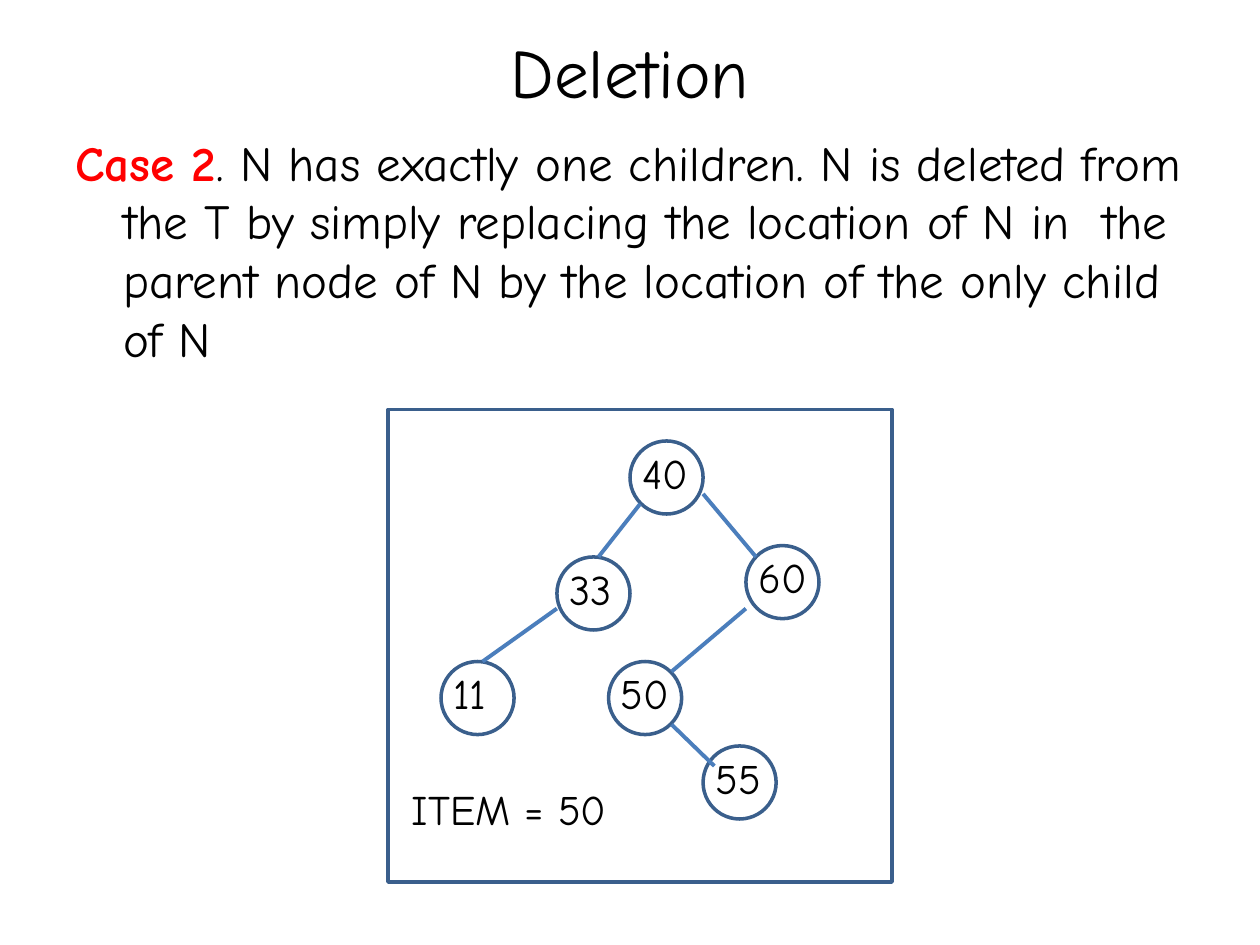
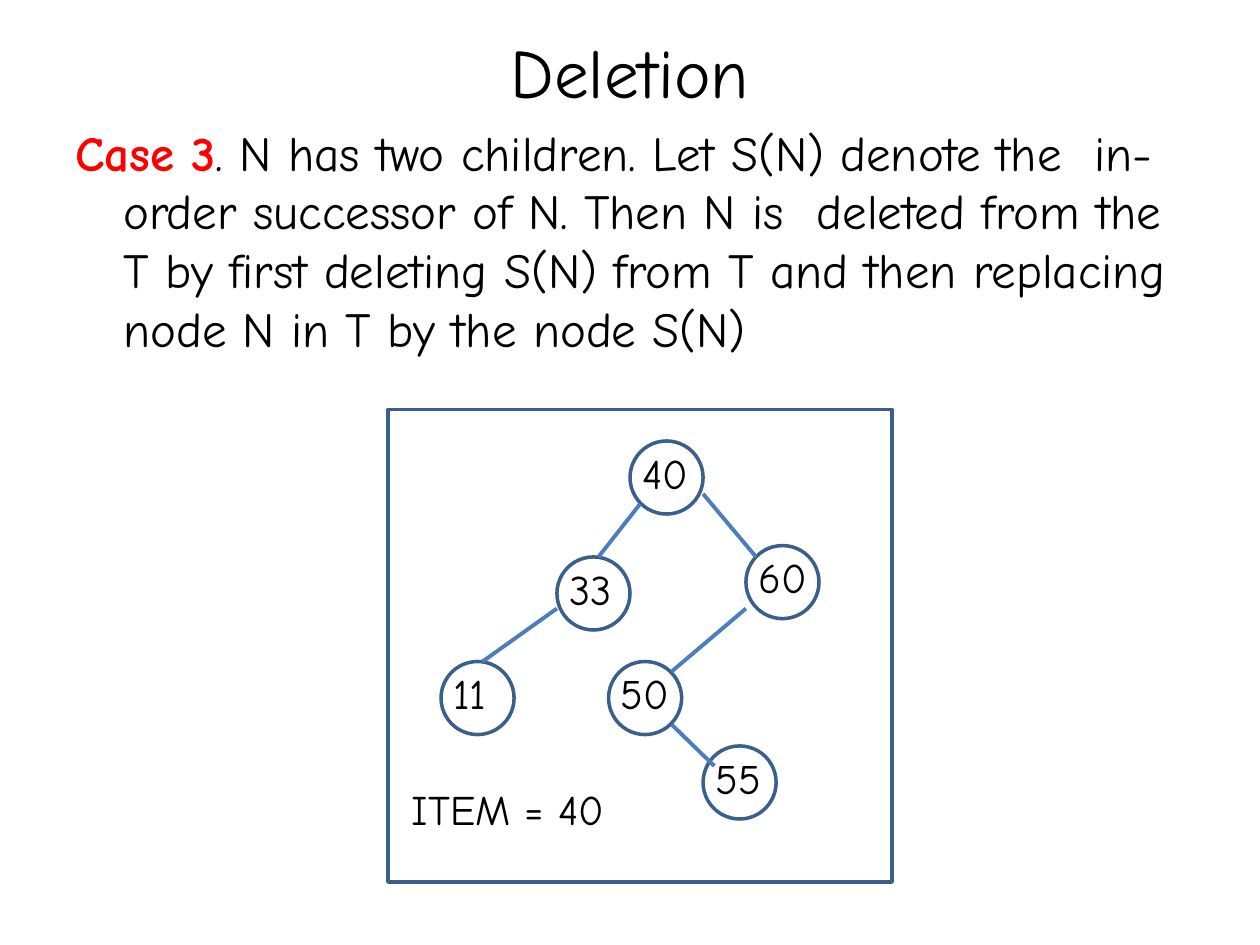
from dataclasses import dataclass

from lxml.etree import SubElement
from pptx import Presentation
from pptx.dml.color import RGBColor
from pptx.enum.shapes import MSO_CONNECTOR, MSO_SHAPE
from pptx.enum.text import MSO_ANCHOR, PP_ALIGN
from pptx.oxml.ns import qn
from pptx.util import Inches, Pt


@dataclass(frozen=True)
class Theme:
    font: str = "Comic Neue"
    ink: RGBColor = RGBColor(0x00, 0x00, 0x00)
    accent: RGBColor = RGBColor(0xFF, 0x00, 0x00)
    outline: RGBColor = RGBColor(0x3A, 0x5F, 0x8C)
    edge: RGBColor = RGBColor(0x4B, 0x7E, 0xBC)
    title_size: float = 39.6
    body_size: float = 28
    label_size: float = 24
    outline_width: float = 2
    edge_width: float = 2.25


THEME = Theme()
TITLE_BOX = (0.5, 0.17, 9, 0.78)
TREE_BOX = (3.08, 3.25, 4, 3.75)
HANGING_INDENT = 0.38
NODE_DIAMETER = 0.58

# Tree layout, measured from the top left corner of its frame
NODES = {
    "40": (1.92, 0.25),
    "60": (2.84, 1.08),
    "50": (1.75, 2),
    "33": (1.34, 1.17),
    "55": (2.5, 2.67),
    "11": (0.42, 2),
}
EDGES = [
    ((2, 0.75), (1.67, 1.17)),      # 40 to 33
    ((1.34, 1.58), (0.75, 2)),      # 33 to 11
    ((2.5, 0.67), (2.92, 1.17)),    # 40 to 60
    ((2.84, 1.58), (2.25, 2.08)),   # 60 to 50
    ((2.25, 2.5), (2.59, 2.83)),    # 50 to 55
]

# Case name, its rule, top of the rule text, item to delete
CASES = [
    ("Case 2",
     ". N has exactly one children. N is deleted from the T by simply "
     "replacing the location of N in  the parent node of N by the location "
     "of the only child of N",
     1, "ITEM = 50"),
    ("Case 3",
     ". N has two children. Let S(N) denote the  in-order successor of N. "
     "Then N is  deleted from the T by first deleting S(N) from T and then "
     "replacing node N in T by the node S(N)",
     0.92, "ITEM = 40"),
]


def inches(*lengths):
    return [Inches(length) for length in lengths]


def add_text(shapes, box, size, text=""):
    """Add a wrapping text box and return its frame."""
    frame = shapes.add_textbox(*inches(*box)).text_frame
    frame.word_wrap = True
    paragraph = frame.paragraphs[0]
    paragraph.text = text
    paragraph.font.name = THEME.font
    paragraph.font.size = Pt(size)
    paragraph.font.color.rgb = THEME.ink
    return frame


def add_outline(shapes, preset, box):
    outline = shapes.add_shape(preset, *inches(*box))
    outline.shadow.inherit = False
    outline.fill.background()
    outline.line.color.rgb = THEME.outline
    outline.line.width = Pt(THEME.outline_width)


def add_edge(shapes, start, end):
    edge = shapes.add_connector(MSO_CONNECTOR.STRAIGHT, *inches(*start, *end))
    edge.line.color.rgb = THEME.edge
    edge.line.width = Pt(THEME.edge_width)
    SubElement(edge._element.spPr, qn("a:effectLst"))


def add_title(slide, box):
    heading = add_text(slide.shapes, box, THEME.title_size, "Deletion")
    heading.vertical_anchor = MSO_ANCHOR.MIDDLE
    heading.paragraphs[0].alignment = PP_ALIGN.CENTER


def add_rule(slide, box, case, rule):
    paragraph = add_text(slide.shapes, box, THEME.body_size).paragraphs[0]
    properties = paragraph._p.get_or_add_pPr()
    properties.set("marL", str(Inches(HANGING_INDENT)))
    properties.set("indent", str(-Inches(HANGING_INDENT)))
    case_name = paragraph.add_run()
    case_name.text = case
    case_name.font.bold = True
    case_name.font.color.rgb = THEME.accent
    paragraph.add_run().text = rule


def add_tree(slide, box, item):
    left, top, _, _ = box
    tree = slide.shapes.add_group_shape().shapes

    def place(point):
        return left + point[0], top + point[1]

    # Frame
    add_outline(tree, MSO_SHAPE.RECTANGLE, box)

    # Nodes with their keys
    for key, corner in NODES.items():
        position = place(corner)
        add_outline(tree, MSO_SHAPE.OVAL,
                    (*position, NODE_DIAMETER, NODE_DIAMETER))
        add_text(tree, (*position, 0.67, 0.5), THEME.label_size, key)

    # Edges
    for start, end in EDGES:
        add_edge(tree, place(start), place(end))

    # Item to delete
    add_text(tree, (*place((0.09, 2.92)), 2.25, 0.5), THEME.label_size, item)


def add_case_slide(deck, case, rule, rule_top, item):
    slide = deck.slides.add_slide(deck.slide_layouts[6])
    add_title(slide, TITLE_BOX)
    add_rule(slide, (0.5, rule_top, 9, 6), case, rule)
    add_tree(slide, TREE_BOX, item)


def main():
    deck = Presentation()
    deck.slide_width, deck.slide_height = inches(10, 7.5)
    for case in CASES:
        add_case_slide(deck, *case)
    deck.save("out.pptx")


if __name__ == "__main__":
    main()
